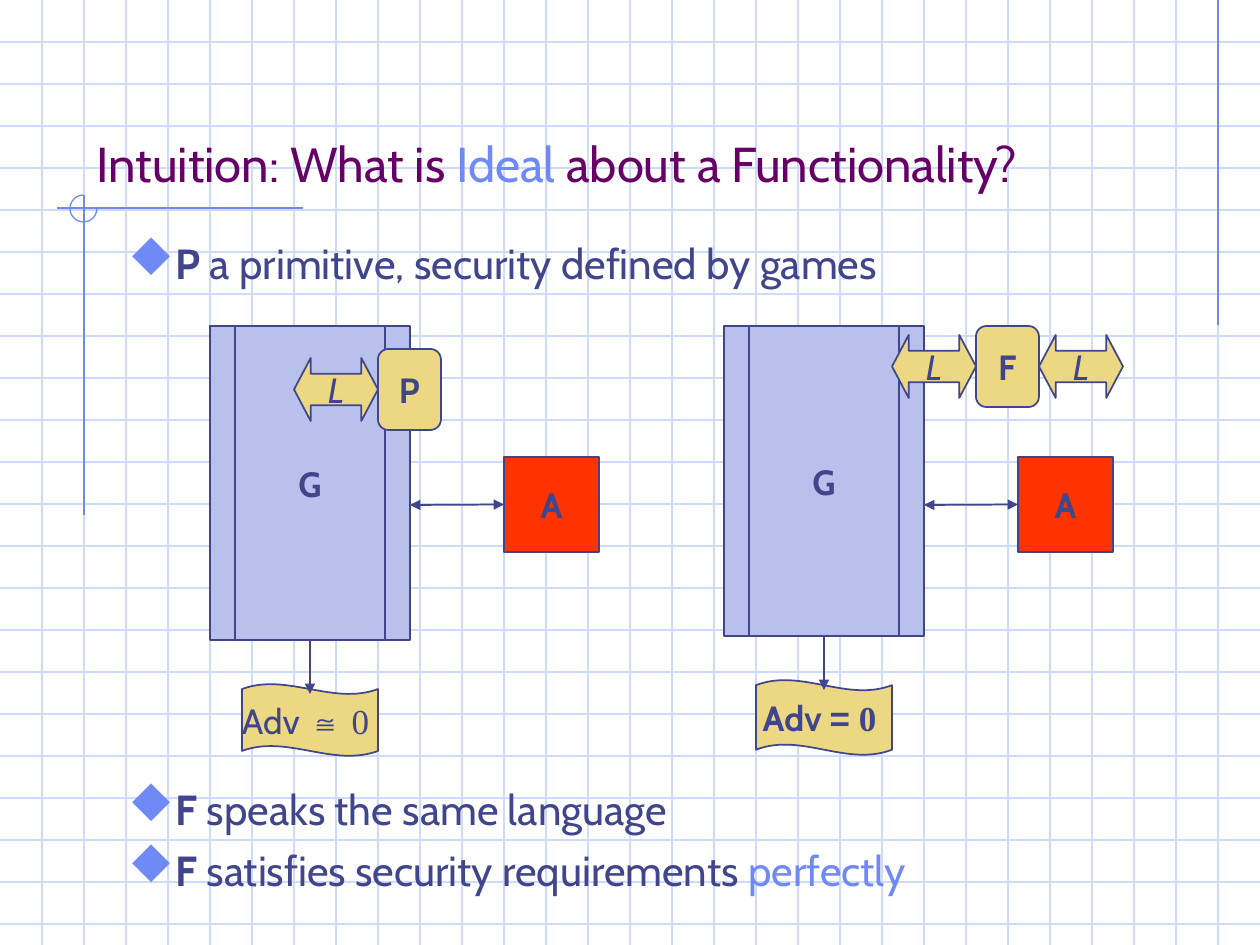
from pptx import Presentation
from pptx.dml.color import RGBColor
from pptx.enum.shapes import MSO_CONNECTOR, MSO_SHAPE
from pptx.enum.text import MSO_ANCHOR, MSO_AUTO_SIZE, PP_ALIGN
from pptx.oxml.ns import qn
from pptx.util import Emu, Pt
from lxml import etree

STRAIGHT = MSO_CONNECTOR.STRAIGHT
MACHINE = MSO_SHAPE.FLOWCHART_PREDEFINED_PROCESS
PROCESS = MSO_SHAPE.FLOWCHART_PROCESS
ROUNDED, ARROW = MSO_SHAPE.ROUNDED_RECTANGLE, MSO_SHAPE.LEFT_RIGHT_ARROW
WAVE, ARC = MSO_SHAPE.WAVE, MSO_SHAPE.ARC
TOP, MIDDLE, BOTTOM = MSO_ANCHOR.TOP, MSO_ANCHOR.MIDDLE, MSO_ANCHOR.BOTTOM
LEFT, CENTER = PP_ALIGN.LEFT, PP_ALIGN.CENTER
NO_FIT = MSO_AUTO_SIZE.NONE

INK = RGBColor(0x40, 0x45, 0x8C)
BLUE = RGBColor(0x6F, 0x89, 0xF7)
GRID = RGBColor(0xCF, 0xDB, 0xFD)
LAVENDER = RGBColor(0xB7, 0xC1, 0xEB)
SAND = RGBColor(0xEC, 0xD8, 0x82)
RED = RGBColor(0xFF, 0x33, 0x00)
PURPLE = RGBColor(0x66, 0x00, 0x66)

FONT = "Cabin"
WIDTH, HEIGHT, STEP = 1260, 945, 42


def px(n):
    return Emu(round(n * 914400 / 126))


def place(sp, x, y, w, h):
    sp.left, sp.top, sp.width, sp.height = px(x), px(y), px(w), px(h)


def add_run(p, text, size, color=INK, bold=False, italic=False, font=FONT):
    r = p.add_run()
    r.text = text
    r.font.name, r.font.size = font, Pt(size)
    r.font.bold, r.font.italic = bold, italic
    r.font.color.rgb = color


def add_line(slide, x1, y1, x2, y2, color=INK, width=1, ends=()):
    line = slide.shapes.add_connector(STRAIGHT, px(x1), px(y1), px(x2), px(y2))
    line.line.color.rgb = color
    line.line.width = Pt(width)
    ln = line._element.spPr.find(qn("a:ln"))
    for end in ends:
        etree.SubElement(ln, qn(f"a:{end}"), type="triangle")
    etree.SubElement(line._element.spPr, qn("a:effectLst"))
    return line


def add_block(slide, kind, x, y, w, h, fill, runs):
    """Filled shape with centred text; runs are (text, run options)."""
    sp = slide.shapes.add_shape(kind, px(x), px(y), px(w), px(h))
    sp.shadow.inherit = False
    sp.fill.solid()
    sp.fill.fore_color.rgb = fill
    sp.line.color.rgb = INK
    sp.line.width = Pt(1)
    tf = sp.text_frame
    tf.word_wrap = False
    tf.vertical_anchor = MIDDLE
    p = tf.paragraphs[0]
    p.alignment = CENTER
    for text, options in runs:
        add_run(p, text, 20, **options)
    return sp


def add_language_arrow(slide, x, y):
    sp = add_block(slide, ARROW, x, y, 84, 63, SAND, [("L", {"italic": True})])
    sp.adjustments[0], sp.adjustments[1] = 0.5, 0.265


def add_component(slide, x, y, name):
    add_block(slide, ROUNDED, x, y, 63, 81, SAND, [(name, {"bold": True})])


def add_game(slide, x, height, flag_height, sign, bold):
    """Game G with its adversary A and the flag that states the advantage."""
    top, strong = 326, {"bold": True}
    bottom = top + height
    game = add_block(slide, MACHINE, x, top, 200, height, LAVENDER, [("G", strong)])
    adversary = add_block(slide, PROCESS, x + 294, 457, 95, 95, RED, [("A", strong)])
    link = add_line(slide, x + 200, 505, x + 294, 505, ends=("headEnd", "tailEnd"))
    link.end_connect(adversary, 1)
    flag = add_block(slide, WAVE, x + 32, bottom + 44, 136, flag_height, SAND, [
        ("Adv ", {"bold": bold}),
        (sign, {"bold": bold, "font": "Arial"}),
        (" 0 ", {"bold": bold, "font": "Times New Roman"}),
    ])
    flag.adjustments[0] = 0.07
    result = add_line(slide, x + 100, bottom, x + 100, bottom + 54, ends=("tailEnd",))
    result.begin_connect(game, 2)


def add_bullet(p):
    """Diamond bullet: the letter u in the symbol font."""
    pPr = p._p.get_or_add_pPr()
    pPr.set("marL", str(px(47)))
    pPr.set("indent", str(-px(47)))
    color = etree.SubElement(pPr, qn("a:buClr"))
    etree.SubElement(color, qn("a:srgbClr"), val=str(BLUE))
    etree.SubElement(pPr, qn("a:buSzPct"), val="110000")
    etree.SubElement(pPr, qn("a:buFont"), typeface="Wingdings", charset="2")
    etree.SubElement(pPr, qn("a:buChar"), char="u")


def add_bullets(slide, y, items):
    """Each item is a bold name, plain text and an accented ending."""
    tf = slide.shapes.add_textbox(px(116), px(y), px(1071), px(95)).text_frame
    tf.word_wrap = True
    tf.vertical_anchor = TOP
    for i, (name, text, accent) in enumerate(items):
        p = tf.add_paragraph() if i else tf.paragraphs[0]
        add_bullet(p)
        if i:
            p.space_before = Pt(6)
        add_run(p, name, 24, bold=True)
        add_run(p, text, 24)
        if accent:
            add_run(p, accent, 24, BLUE)


def add_background(slide):
    for y in range(STEP, HEIGHT, STEP):
        add_line(slide, 0, y, WIDTH, y, GRID, 0.75)
    for x in range(STEP, WIDTH, STEP):
        add_line(slide, x, 0, x, HEIGHT, GRID, 0.75)
    # Accent lines and the open circle where they cross
    for ends in ((1218, 0, 1218, 325), (303, 208, 57, 208), (84, 195, 84, 515)):
        add_line(slide, *ends, BLUE, 0.75)
    arc = slide.shapes.add_shape(ARC, px(70), px(195), px(27), px(27))
    arc.adjustments[0], arc.adjustments[1] = 0, 162  # 0 to 270 degrees
    arc.shadow.inherit = False
    arc.fill.background()
    arc.line.color.rgb = BLUE
    arc.line.width = Pt(0.75)


def add_title(slide):
    title = slide.shapes.title
    slide.shapes._spTree.append(title._element)  # in front of the grid
    place(title, 84, 42, 1071, 157)
    tf = title.text_frame
    tf.word_wrap = True
    tf.auto_size = NO_FIT
    tf.vertical_anchor = BOTTOM
    p = tf.paragraphs[0]
    p.alignment = LEFT
    add_run(p, "Intuition: What is ", 28, PURPLE)
    add_run(p, "Ideal ", 28, BLUE)
    add_run(p, "about a Functionality?", 28, PURPLE)


def main():
    prs = Presentation()
    prs.slide_width, prs.slide_height = px(WIDTH), px(HEIGHT)
    slide = prs.slides.add_slide(prs.slide_layouts[5])
    add_background(slide)
    add_title(slide)
    add_bullets(slide, 231, [("P ", "a primitive, security defined by games", "")])

    # Game with the primitive
    add_game(slide, 210, 314, 72, "≅", False)
    add_component(slide, 378, 349, "P")
    add_language_arrow(slide, 294, 358)

    # Game with the functionality
    add_game(slide, 724, 310, 75, "=", True)
    add_component(slide, 976, 326, "F")
    for x in (892, 1039):
        add_language_arrow(slide, x, 335)

    add_bullets(slide, 777, [
        ("F ", "speaks the same language", ""),
        ("F ", "satisfies security requirements ", "perfectly"),
    ])
    prs.save("out.pptx")


if __name__ == "__main__":
    main()
